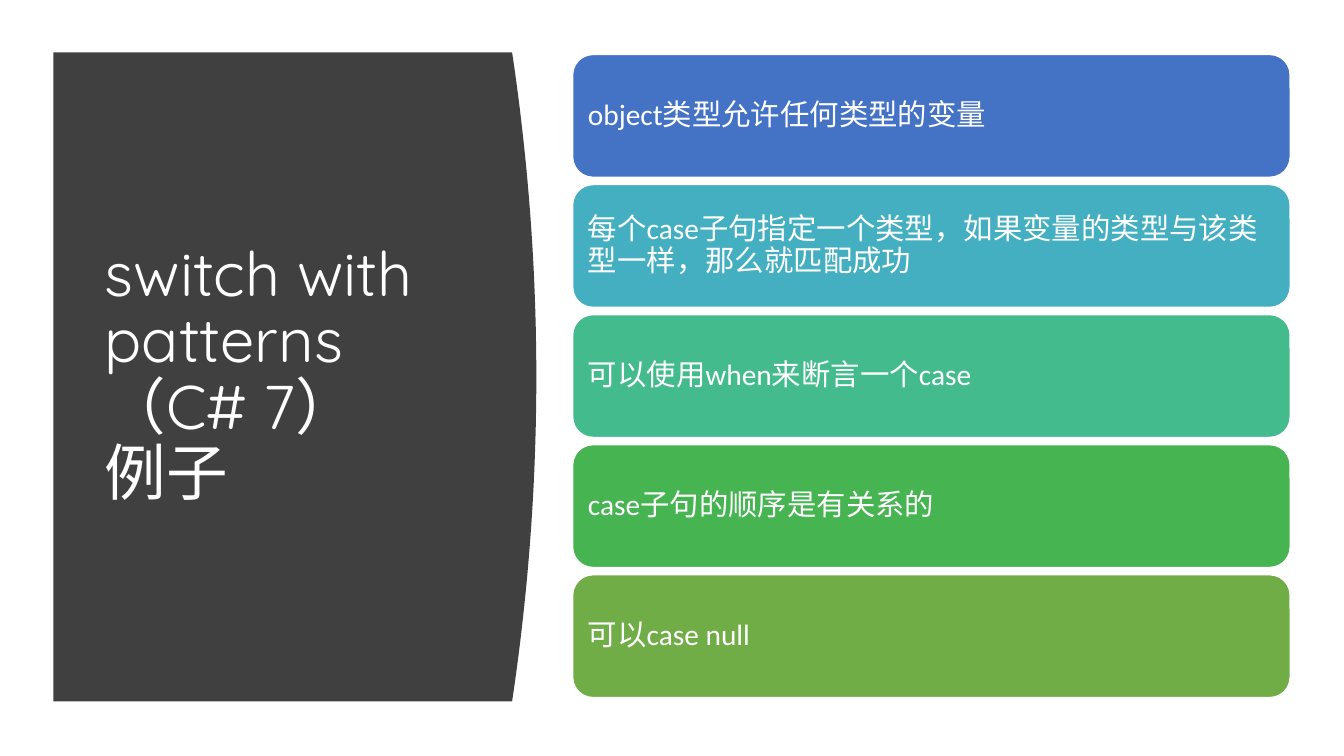
from dataclasses import dataclass

from pptx import Presentation
from pptx.dml.color import RGBColor
from pptx.enum.shapes import MSO_SHAPE
from pptx.enum.text import MSO_ANCHOR, MSO_AUTO_SIZE, PP_ALIGN
from pptx.slide import Slide
from pptx.util import Pt


@dataclass(frozen=True)
class Theme:
    white: RGBColor = RGBColor.from_string("FFFFFF")
    panel: RGBColor = RGBColor.from_string("404040")
    title_font: str = "Quicksand"
    body_font: str = "Calibri"
    title_size: float = 44
    body_size: float = 21
    line_spacing: float = 0.9


@dataclass(frozen=True)
class Card:
    text: str
    fill: str


THEME = Theme()
CARDS = [
    Card("object类型允许任何类型的变量", "4472C4"),
    Card("每个case子句指定一个类型，如果变量的类型与该类型一样，那么就匹配成功", "43AFC0"),
    Card("可以使用when来断言一个case", "43BB8D"),
    Card("case子句的顺序是有关系的", "45B451"),
    Card("可以case null", "70AD47"),
]
CARD_LEFT, CARD_TOP, CARD_WIDTH, CARD_HEIGHT = 409, 38.9, 512.6, 87.8
CARD_PITCH = 92.9
CARD_INSET = 6.6

PANEL_LEFT, PANEL_TOP, PANEL_HEIGHT = 38.2, 37.4, 463.7
PANEL_EDGE, PANEL_BULGE = 365.8, 17.3
CURVE_STEPS = 40


def add_panel(slide: Slide) -> None:
    """Dark panel whose right edge is a shallow parabola."""
    curve = []
    for step in range(CURVE_STEPS + 1):
        share = step / CURVE_STEPS
        x = PANEL_EDGE + PANEL_BULGE * (1 - (2 * share - 1) ** 2)
        curve.append((Pt(x), Pt(PANEL_TOP + PANEL_HEIGHT * share)))
    builder = slide.shapes.build_freeform(Pt(PANEL_LEFT), Pt(PANEL_TOP))
    builder.add_line_segments(curve + [(Pt(PANEL_LEFT), Pt(PANEL_TOP + PANEL_HEIGHT))])
    panel = builder.convert_to_shape()
    panel.shadow.inherit = False
    panel.fill.solid()
    panel.fill.fore_color.rgb = THEME.panel
    panel.line.fill.background()


def add_title(slide: Slide, text: str) -> None:
    title = slide.shapes.title
    title.left, title.top, title.width, title.height = Pt(67.7), Pt(79.9), Pt(269.3), Pt(377.3)
    frame = title.text_frame
    frame.text = text
    frame.word_wrap = True
    frame.auto_size = MSO_AUTO_SIZE.NONE
    frame.vertical_anchor = MSO_ANCHOR.MIDDLE
    paragraph = frame.paragraphs[0]
    paragraph.alignment = PP_ALIGN.LEFT
    paragraph.line_spacing = THEME.line_spacing
    paragraph.font.name = THEME.title_font
    paragraph.font.size = Pt(THEME.title_size)
    paragraph.font.color.rgb = THEME.white


def add_card(slide: Slide, card: Card, top: float) -> None:
    shape = slide.shapes.add_shape(
        MSO_SHAPE.ROUNDED_RECTANGLE, Pt(CARD_LEFT), Pt(top), Pt(CARD_WIDTH), Pt(CARD_HEIGHT)
    )
    shape.shadow.inherit = False
    shape.fill.solid()
    shape.fill.fore_color.rgb = RGBColor.from_string(card.fill)
    shape.line.color.rgb = THEME.white
    shape.line.width = Pt(1)
    frame = shape.text_frame
    frame.word_wrap = True
    frame.vertical_anchor = MSO_ANCHOR.MIDDLE
    frame.margin_left = frame.margin_right = Pt(CARD_INSET)
    frame.margin_top = frame.margin_bottom = Pt(CARD_INSET)
    frame.text = card.text
    paragraph = frame.paragraphs[0]
    paragraph.alignment = PP_ALIGN.LEFT
    paragraph.line_spacing = THEME.line_spacing
    paragraph.font.name = THEME.body_font
    paragraph.font.size = Pt(THEME.body_size)
    paragraph.font.color.rgb = THEME.white


def main() -> None:
    presentation = Presentation()
    presentation.slide_width, presentation.slide_height = Pt(960), Pt(540)
    slide = presentation.slides.add_slide(presentation.slide_layouts[5])

    # Left panel, with the title moved in front of it
    add_panel(slide)
    add_title(slide, "switch with patterns （C# 7）\v例子")
    title_element = slide.shapes.title.element
    title_element.getparent().append(title_element)

    # Column of rule cards
    for index, card in enumerate(CARDS):
        add_card(slide, card, CARD_TOP + index * CARD_PITCH)

    presentation.save("out.pptx")


if __name__ == "__main__":
    main()
